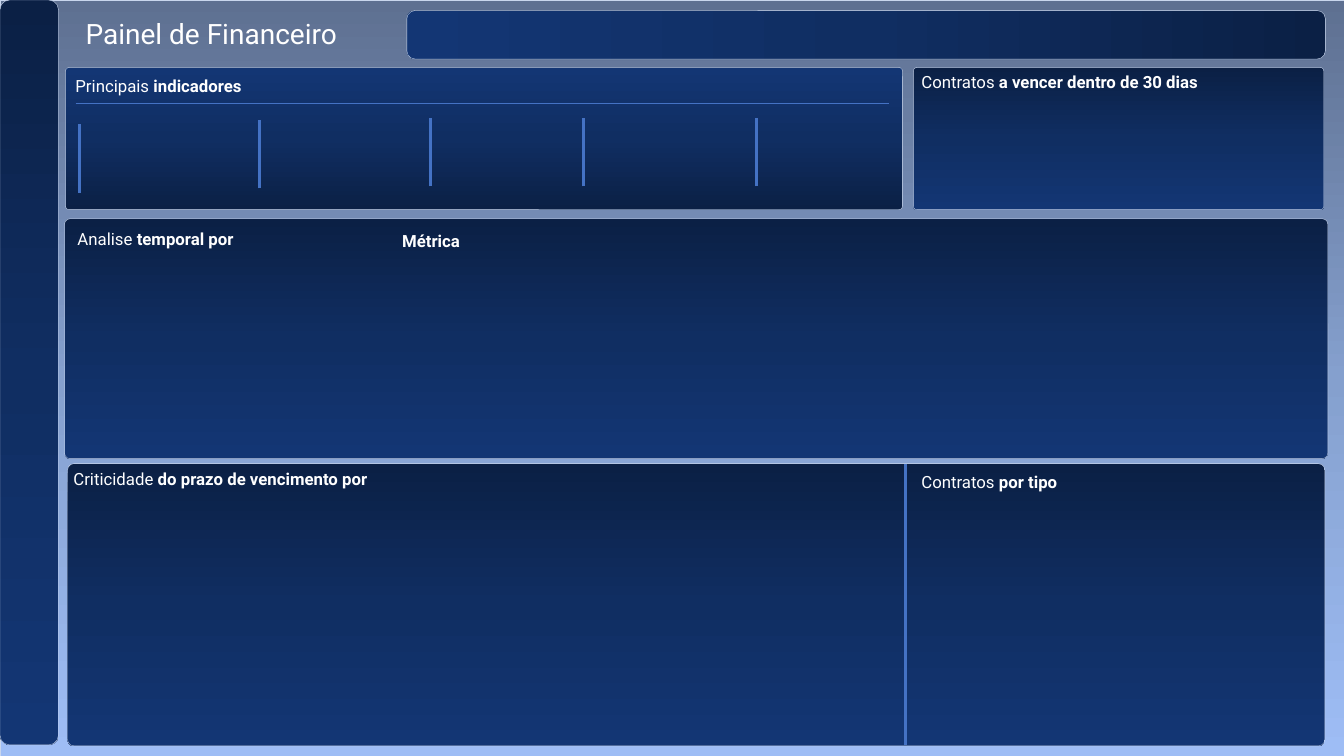
from lxml.etree import SubElement as Sub
from pptx import Presentation
from pptx.dml.color import RGBColor as Rgb
from pptx.enum.shapes import MSO_CONNECTOR as Link, MSO_SHAPE as Kind
from pptx.enum.text import MSO_AUTO_SIZE as Fit
from pptx.oxml.ns import qn
from pptx.util import Inches, Pt

THEME = {
    "font": "Roboto",
    "text": "FFFFFF",
    "edge": "C9D6ED",
    "line": "4472C4",
    "back": ("5E7091", "85A0CE", "9EBDF5"),
    "panel": ("0B2045", "102E62", "133674"),
    "title": 20,
    "label": 12,
    "thin": 0.25,
    "rule": 0.5,
    "bar": 2.25,
}

WIDE, HIGH = 13.33, 7.5

PANELS = [
    ((0.65, 0.67, 8.3, 1.41), 0.025, 180),
    ((0.64, 2.17, 12.53, 2.38), 0.023, 0),
    ((9.06, 0.67, 4.07, 1.41), 0.023, 0),
    ((0.67, 4.6, 12.47, 2.8), 0.023, 0),
    ((8.35, -4.21, 0.48, 9.11), 0.167, 90),
    ((0, 0, 0.58, 7.39), 0.167, 0),
]

TICKS = [(0.79, 1.23), (2.57, 1.19), (4.27, 1.17), (5.79, 1.17), (7.5, 1.17)]
TICK = 0.68

LINES = [
    (0.75, 1.03, 8.82, 1.03, "rule"),
    (8.98, 7.39, 8.98, 4.6, "bar"),
] + [(x, y + TICK, x, y, "bar") for x, y in TICKS]

LABELS = [
    ((0.75, 0.11, 2.76, 0.44), "title", "Painel de Financeiro", ""),
    ((0.65, 0.7, 3.24, 0.3), "label", "Principais ", "indicadores"),
    ((0.67, 2.22, 2.15, 0.3), "label", "Analise ", "temporal por"),
    ((3.89, 2.24, 1.23, 0.3), "label", "", "Métrica"),
    ((9.04, 0.66, 4.22, 0.3), "label", "Contratos ", "a vencer dentro de 30 dias"),
    ((0.63, 4.6, 3.87, 0.3), "label", "Criticidade ", "do prazo de vencimento por"),
    ((9.04, 4.63, 4.1, 0.3), "label", "Contratos", " por tipo"),
]


def style(item, form):
    for name, value in form.items():
        setattr(item, name, value)


def stroke(line, color, size):
    line.color.rgb = Rgb.from_string(THEME[color])
    line.width = Pt(THEME[size])


def blend(fill, colors):
    fill.gradient()
    fill.gradient_angle = 270
    stops = fill._fill._gradFill.find(qn("a:gsLst"))
    stops.clear()
    for step, color in enumerate(colors):
        stop = Sub(stops, qn("a:gs"), pos=str(step * 50000))
        Sub(stop, qn("a:srgbClr"), val=color)


def block(slide, kind, box, colors, turn=0, round_by=None):
    shape = slide.shapes.add_shape(kind, *map(Inches, box))
    shape.shadow.inherit = False
    shape.rotation = turn
    if round_by is not None:
        shape.adjustments[0] = round_by
    blend(shape.fill, THEME[colors])
    stroke(shape.line, "edge", "thin")


def rule(slide, ends, size):
    link = slide.shapes.add_connector(Link.STRAIGHT, *map(Inches, ends))
    stroke(link.line, "line", size)
    Sub(link._element.spPr, qn("a:effectLst"))


def label(slide, box, size, plain, strong):
    frame = slide.shapes.add_textbox(*map(Inches, box)).text_frame
    style(frame, {"word_wrap": True, "auto_size": Fit.SHAPE_TO_FIT_TEXT})
    for text, bold in ((plain, False), (strong, True)):
        if text:
            run = frame.paragraphs[0].add_run()
            run.text = text
            style(run.font, {"name": THEME["font"], "size": Pt(THEME[size]), "bold": bold})
            run.font.color.rgb = Rgb.from_string(THEME["text"])


def main():
    deck = Presentation()
    style(deck, {"slide_width": Inches(WIDE), "slide_height": Inches(HIGH)})
    slide = deck.slides.add_slide(deck.slide_layouts[6])
    block(slide, Kind.RECTANGLE, (0, 0, WIDE, HIGH), "back")
    for box, curve, turn in PANELS:
        block(slide, Kind.ROUNDED_RECTANGLE, box, "panel", turn, curve)
    for *ends, size in LINES:
        rule(slide, ends, size)
    for row in LABELS:
        label(slide, *row)
    deck.save("out.pptx")


if __name__ == "__main__":
    main()
